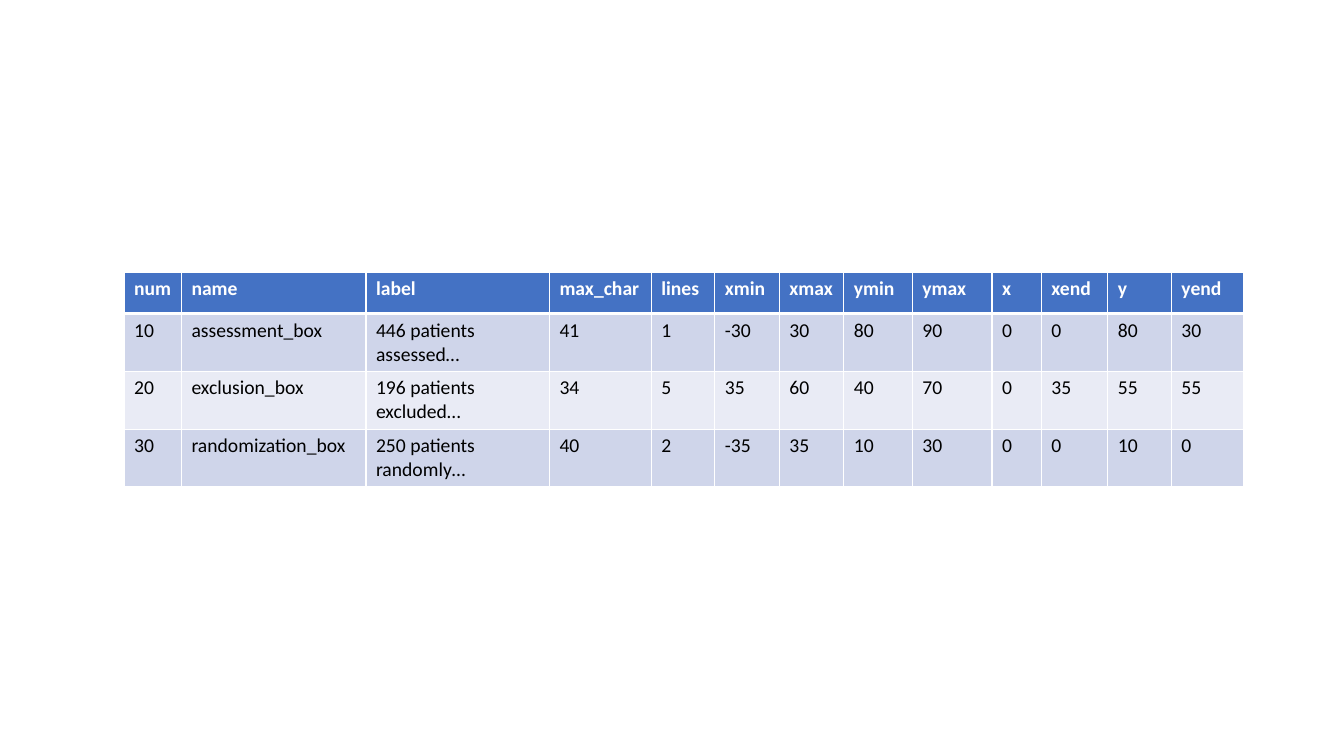
from dataclasses import dataclass

from lxml.etree import SubElement
from pptx import Presentation
from pptx.dml.color import RGBColor as RGB
from pptx.oxml.ns import qn
from pptx.util import Inches, Pt

COLUMNS = [
    ("num", 0.57), ("name", 1.83), ("label", 1.82), ("max_char", 1.01),
    ("lines", 0.63), ("xmin", 0.64), ("xmax", 0.64), ("ymin", 0.68),
    ("ymax", 0.79), ("x", 0.49), ("xend", 0.66), ("y ", 0.63), ("yend", 0.72),
]
BOXES = [
    (10, "assessment_box", "446 patients assessed…", 41, 1, -30, 30, 80, 90, 0, 0, 80, 30),
    (20, "exclusion_box", "196 patients excluded…", 34, 5, 35, 60, 40, 70, 0, 35, 55, 55),
    (30, "randomization_box", "250 patients randomly…", 40, 2, -35, 35, 10, 30, 0, 0, 10, 0),
]
LEFT, TOP, ROW_HEIGHT = 1.23, 2.7, 0.41


@dataclass(frozen=True)
class Theme:
    font: str = "Calibri"
    size: int = 14
    header_fill: str = "4472C4"
    header_text: str = "FFFFFF"
    body_fills: tuple = ("CFD5EA", "E9EBF5")
    body_text: str = "000000"
    border: str = "FFFFFF"
    border_width: int = 1
    header_rule: int = 3


THEME = Theme()


def draw_borders(cell, top, bottom):
    properties = cell._tc.get_or_add_tcPr()
    side = THEME.border_width
    for edge, width in (("L", side), ("R", side), ("T", top), ("B", bottom)):
        line = SubElement(properties, qn(f"a:ln{edge}"), w=str(Pt(width)))
        fill = SubElement(line, qn("a:solidFill"))
        SubElement(fill, qn("a:srgbClr"), val=THEME.border)


def fill_cell(cell, value, row):
    is_header = row == 0
    thin, thick = THEME.border_width, THEME.header_rule
    draw_borders(cell, thick if row == 1 else thin, thick if is_header else thin)
    cell.fill.solid()
    cell.fill.fore_color.rgb = RGB.from_string(
        THEME.header_fill if is_header else THEME.body_fills[(row - 1) % 2])
    cell.text = str(value)
    font = cell.text_frame.paragraphs[0].font
    font.name, font.size, font.bold = THEME.font, Pt(THEME.size), is_header
    font.color.rgb = RGB.from_string(THEME.header_text if is_header else THEME.body_text)


deck = Presentation()
deck.slide_width, deck.slide_height = Inches(13.33), Inches(7.5)
slide = deck.slides.add_slide(deck.slide_layouts[6])

headings, widths = zip(*COLUMNS)
records = [headings, *BOXES]
box_table = slide.shapes.add_table(
    len(records), len(widths), Inches(LEFT), Inches(TOP),
    Inches(sum(widths)), Inches(ROW_HEIGHT * len(records))).table

for column, width in zip(box_table.columns, widths):
    column.width = Inches(width)
for row, record in enumerate(records):
    box_table.rows[row].height = Inches(ROW_HEIGHT)
    for column, value in enumerate(record):
        fill_cell(box_table.cell(row, column), value, row)

deck.save("out.pptx")
